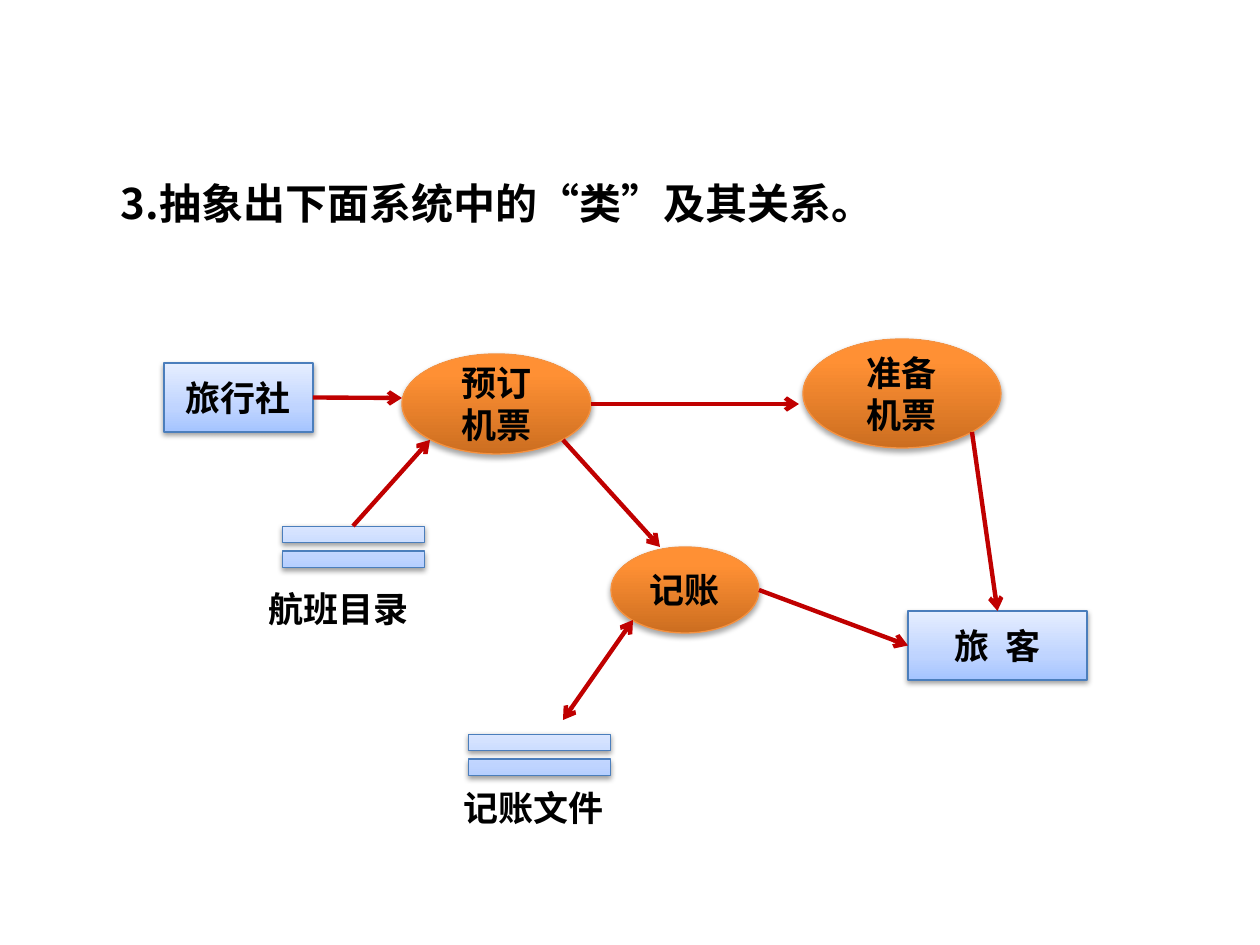
from dataclasses import dataclass
from typing import Any, Optional

import pptx
import pptx.dml.color
import pptx.enum.shapes
import pptx.enum.text
import pptx.oxml.ns
import pptx.util
from lxml import etree

EMU_PER_PX = 914400 / 126
LATIN_FONT = "Calibri"
CHINESE_FONT = "Noto Sans CJK SC"
ARROW_COLOR = "C00000"
SHAPES = pptx.enum.shapes.MSO_SHAPE
ANCHOR = pptx.enum.text.MSO_ANCHOR
ALIGN = pptx.enum.text.PP_ALIGN
qn = pptx.oxml.ns.qn


@dataclass(frozen=True)
class Look:
    stops: tuple[tuple[int, str], ...]
    line: str
    shadow_distance: int
    shadow_percent: int


@dataclass(frozen=True)
class Node:
    key: str
    kind: Any
    look: Look
    area: tuple[int, int, int, int]
    lines: tuple[str, ...] = ()
    spacing: int = 0  # hundredths of a point between characters


@dataclass(frozen=True)
class Label:
    text: str
    area: tuple[int, int, int, int]


@dataclass(frozen=True)
class Flow:
    start: tuple[int, int]
    end: tuple[int, int]
    source: Optional[tuple[str, int]] = None
    target: Optional[tuple[str, int]] = None
    both_ways: bool = False


BLUE = Look(((0, "A4C4FF"), (35, "BFD4FF"), (100, "E6EEFF")), "4B7EBC", 20000, 38)
ORANGE = Look(((0, "CC6E20"), (80, "FF9034"), (100, "FF9136")), "F69240", 23000, 35)

NODES = (
    Node("agency", SHAPES.RECTANGLE, BLUE, (164, 363, 149, 69), ("旅行社",)),
    Node("booking", SHAPES.OVAL, ORANGE, (402, 354, 189, 100), ("预订", "机票")),
    Node("ticketing", SHAPES.OVAL, ORANGE, (803, 339, 198, 109), ("准备", "机票")),
    Node("flights", SHAPES.MATH_EQUAL, BLUE, (257, 512, 193, 70)),
    Node("accounting", SHAPES.OVAL, ORANGE, (611, 547, 148, 86), ("记账",)),
    Node("ledger", SHAPES.MATH_EQUAL, BLUE, (443, 720, 193, 70)),
    Node("passenger", SHAPES.RECTANGLE, BLUE, (908, 611, 179, 69), ("旅 客",), 225),
)
LABELS = (
    Label("航班目录", (256, 581, 186, 55)),
    Label("记账文件", (451, 780, 175, 55)),
)
FLOWS = (
    Flow((313, 398), (402, 398), source=("agency", 3)),
    Flow((591, 404), (799, 404)),
    Flow((353, 526), (430, 440)),
    Flow((563, 440), (660, 547)),
    Flow((633, 620), (563, 720), both_ways=True),
    Flow((972, 432), (997, 611), target=("passenger", 0)),
    Flow((759, 590), (908, 645), target=("passenger", 1)),
)


def px(length: int) -> int:
    return round(length * EMU_PER_PX)


def rgb(color: str) -> pptx.dml.color.RGBColor:
    return pptx.dml.color.RGBColor.from_string(color)


def add_color(parent: Any, color: str) -> Any:
    return etree.SubElement(parent, qn("a:srgbClr"), val=color)


def write(frame: Any, lines: tuple[str, ...], size: int, align: Any,
          anchor: Any, latin: str = LATIN_FONT, spacing: int = 0) -> None:
    frame.word_wrap = True
    frame.auto_size = pptx.enum.text.MSO_AUTO_SIZE.NONE
    frame.vertical_anchor = anchor
    frame.text = "\n".join(lines)
    for para in frame.paragraphs:
        para.alignment = align
        font = para.font
        font.size = pptx.util.Pt(size)
        font.bold = True
        font.name = latin
        font.color.rgb = rgb("000000")
        # East Asian typeface follows the Latin one
        latin_tag = para._p.pPr.find(qn("a:defRPr")).find(qn("a:latin"))
        east_asian = etree.Element(qn("a:ea"), typeface=CHINESE_FONT)
        latin_tag.addnext(east_asian)
        if spacing:
            for span in para.runs:
                span._r.get_or_add_rPr().set("spc", str(spacing))


def apply_look(shape: Any, look: Look) -> None:
    shape.fill.gradient()
    shape.fill.gradient_angle = 90
    properties = shape.element.spPr
    stop_list = properties.find(qn("a:gradFill")).find(qn("a:gsLst"))
    for stop in list(stop_list):
        stop_list.remove(stop)
    for percent, color in look.stops:
        stop = etree.SubElement(stop_list, qn("a:gs"), pos=str(percent * 1000))
        add_color(stop, color)
    shape.line.color.rgb = rgb(look.line)
    shape.line.width = pptx.util.Pt(0.75)
    # Soft shadow below the shape
    shape.shadow.inherit = False
    shadow = etree.SubElement(
        properties.find(qn("a:effectLst")), qn("a:outerShdw"), blurRad="40000",
        dist=str(look.shadow_distance), dir="5400000", rotWithShape="0")
    etree.SubElement(add_color(shadow, "000000"), qn("a:alpha"),
                     val=str(look.shadow_percent * 1000))


def draw_node(page: Any, node: Node) -> Any:
    shape = page.shapes.add_shape(node.kind, *map(px, node.area))
    apply_look(shape, node.look)
    if node.lines:
        write(shape.text_frame, node.lines, 20, ALIGN.CENTER, ANCHOR.MIDDLE,
              spacing=node.spacing)
    return shape


def draw_label(page: Any, label: Label) -> None:
    box = page.shapes.add_textbox(*map(px, label.area))
    write(box.text_frame, (label.text,), 20, ALIGN.LEFT, ANCHOR.TOP)


def draw_flow(page: Any, flow: Flow, shapes: dict[str, Any]) -> None:
    arrow = page.shapes.add_connector(
        pptx.enum.shapes.MSO_CONNECTOR.STRAIGHT,
        *map(px, flow.start + flow.end))
    if flow.source:
        arrow.begin_connect(shapes[flow.source[0]], flow.source[1])
    if flow.target:
        arrow.end_connect(shapes[flow.target[0]], flow.target[1])
    arrow.line.color.rgb = rgb(ARROW_COLOR)
    arrow.line.width = pptx.util.Pt(2.5)
    properties = arrow.element.spPr
    line = properties.find(qn("a:ln"))
    if flow.both_ways:
        etree.SubElement(line, qn("a:headEnd"), type="arrow")
    etree.SubElement(line, qn("a:tailEnd"), type="arrow")
    etree.SubElement(properties, qn("a:effectLst"))


def main() -> None:
    deck = pptx.Presentation()
    deck.slide_width, deck.slide_height = px(1260), px(945)
    page = deck.slides.add_slide(deck.slide_layouts[5])

    # Question
    title = page.shapes.title
    title.left, title.top, title.width, title.height = map(px, (108, 171, 893, 63))
    write(title.text_frame, ("3.抽象出下面系统中的“类”及其关系。",), 24,
          ALIGN.LEFT, ANCHOR.TOP, latin=CHINESE_FONT)

    # Data flow diagram
    shapes = {node.key: draw_node(page, node) for node in NODES}
    for label in LABELS:
        draw_label(page, label)
    for flow in FLOWS:
        draw_flow(page, flow, shapes)

    deck.save("out.pptx")


if __name__ == "__main__":
    main()
